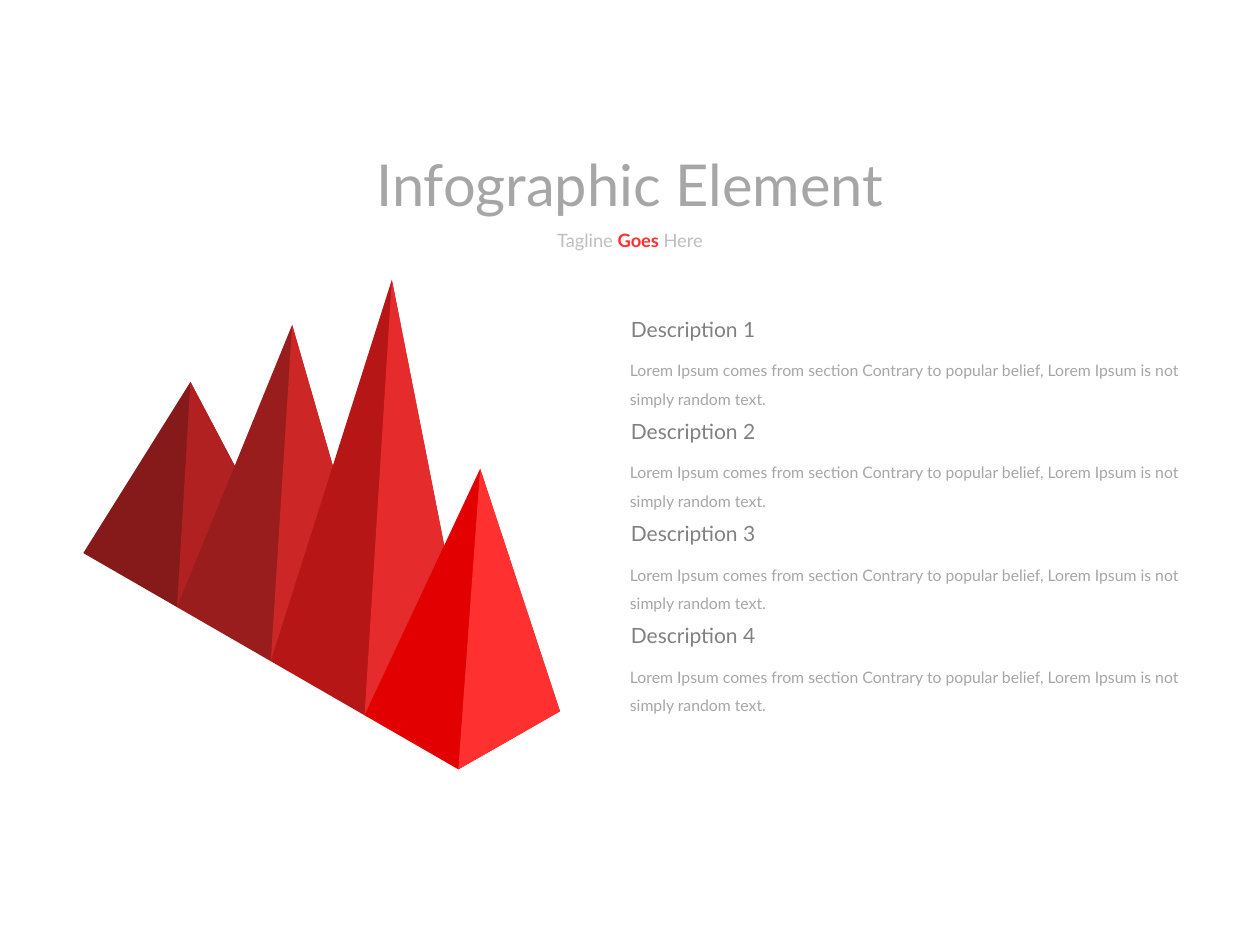
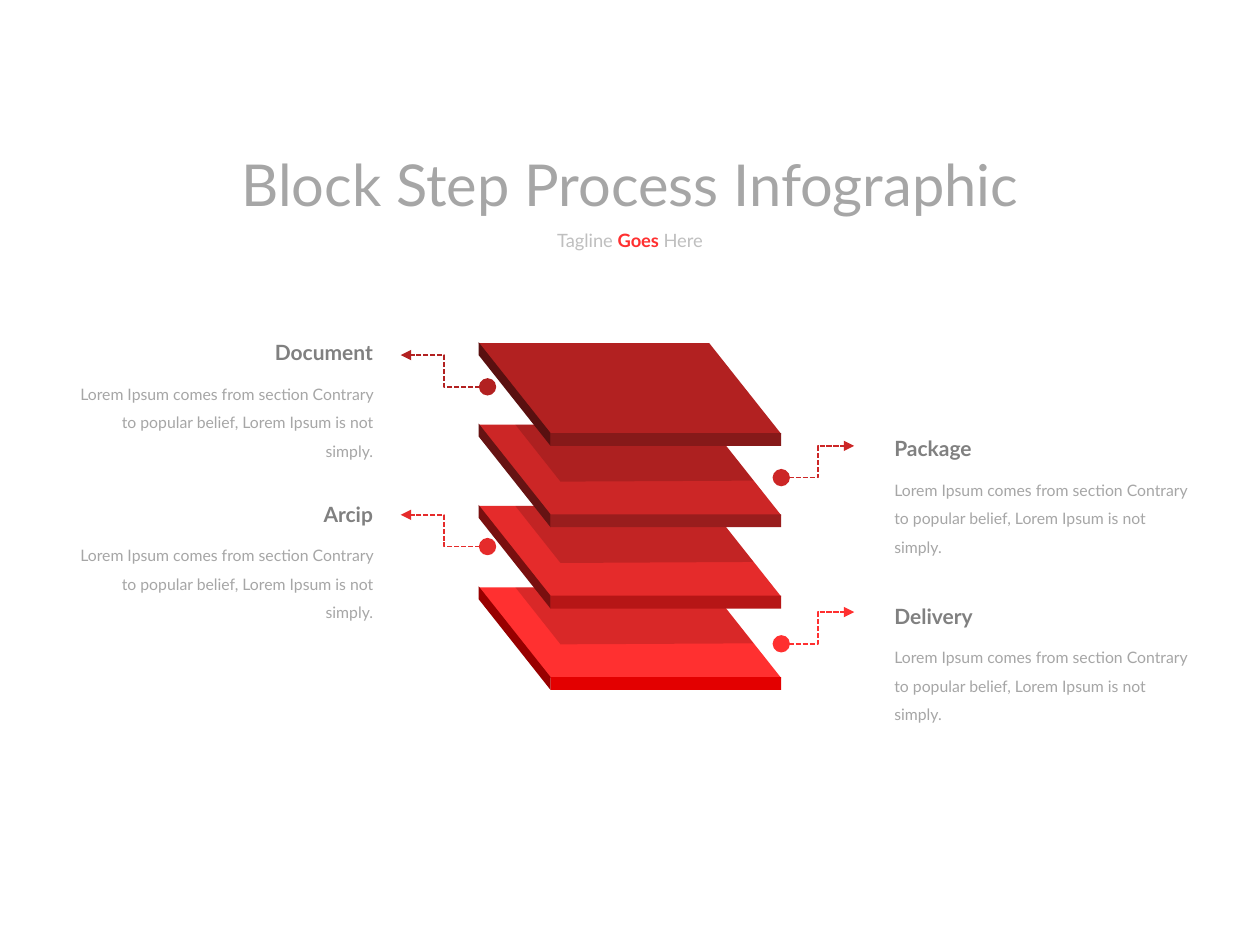
"""Build two infographic slides: a row of pyramids and a stack of blocks."""

from lxml.etree import SubElement
from pptx import Presentation
from pptx.dml.color import RGBColor
from pptx.enum.dml import MSO_LINE
from pptx.enum.shapes import MSO_CONNECTOR, MSO_SHAPE
from pptx.enum.text import MSO_ANCHOR, MSO_AUTO_SIZE, PP_ALIGN
from pptx.oxml.ns import qn
from pptx.util import Cm, Pt

FONT = "Lato"
TITLE_GREY = RGBColor(0xA6, 0xA6, 0xA6)
HEADING_GREY = RGBColor(0x80, 0x80, 0x80)
TAGLINE_GREY = RGBColor(0xBF, 0xBF, 0xBF)
BRIGHT_RED = RGBColor(0xFF, 0x30, 0x30)
LIGHT_RED = RGBColor(0xE5, 0x2B, 0x2B)
MEDIUM_RED = RGBColor(0xCC, 0x26, 0x26)
DEEP_RED = RGBColor(0xB2, 0x21, 0x21)
BRIGHT_SHADE = RGBColor(0xE3, 0x00, 0x00)
LIGHT_SHADE = RGBColor(0xB6, 0x16, 0x16)
MEDIUM_SHADE = RGBColor(0x99, 0x1D, 0x1D)
DEEP_SHADE = RGBColor(0x86, 0x19, 0x19)
BLACK = RGBColor(0, 0, 0)

PAGE_WIDTH, PAGE_HEIGHT = 25.4, 19.05
TAGLINE = [("Tagline ", TAGLINE_GREY, False), ("Goes ", BRIGHT_RED, True),
           ("Here", TAGLINE_GREY, False)]
HEADING_HEIGHT, BODY_DROP = 0.76, 0.71

PYRAMID_TITLE, PYRAMID_TITLE_WIDTH = "Infographic Element", 11
PYRAMIDS = [
    ((3.84, 7.7), DEEP_SHADE, DEEP_RED),
    ((5.89, 6.55), MEDIUM_SHADE, MEDIUM_RED),
    ((7.9, 5.64), LIGHT_SHADE, LIGHT_RED),
    ((9.68, 9.45), BRIGHT_SHADE, BRIGHT_RED),
]
PYRAMID_START, PYRAMID_STEP = (1.68, 11.15), (1.89, 1.09)
DESCRIPTIONS = [f"Description {number}" for number in range(1, 5)]
DESCRIPTION_TEXT = ("Lorem Ipsum comes from section Contrary to popular belief, "
                    "Lorem Ipsum is not simply random text.")
DESCRIPTION_TOP, DESCRIPTION_STEP = 6.25, 2.06

BLOCK_TITLE, BLOCK_TITLE_WIDTH = "Block Step Process Infographic", 16.89
BLOCKS = [
    (BRIGHT_RED, RGBColor(0x98, 0x00, 0x00), BRIGHT_SHADE),
    (LIGHT_RED, RGBColor(0x79, 0x0F, 0x0F), LIGHT_SHADE),
    (MEDIUM_RED, RGBColor(0x66, 0x13, 0x13), MEDIUM_SHADE),
    (DEEP_RED, RGBColor(0x59, 0x10, 0x10), DEEP_SHADE),
]
BLOCK_LEFT, BLOCK_BOTTOM_TOP, BLOCK_STEP = 9.65, 11.84, 1.64
BLOCK_FACE = [(0, 0), (4.65, 0), (6.1, 1.83), (1.45, 1.83)]
BLOCK_SIDE = [(0, -0.02), (0, 0.24), (1.45, 2.07), (1.45, 1.81)]
BLOCK_SHADOW = [(0.74, 0), (4.65, 0), (5.54, 1.13), (1.65, 1.15)]
STEP_TEXT = ("Lorem Ipsum comes from section Contrary to popular belief, "
             "Lorem Ipsum is not simply.")
STEPS = [
    ("Document", 2.51, 6.73, 7.8, "left", DEEP_RED),
    ("Arcip", 1.52, 9.98, 11.02, "left", LIGHT_RED),
    ("Package", 2.11, 8.66, 9.63, "right", MEDIUM_RED),
    ("Delivery", 2.11, 12.04, 12.98, "right", BRIGHT_RED),
]
STEP_WIDTH, ARROW_RISE = 6.53, 0.64
SIDES = {
    "left": {"text": 1.24, "arrow": (9.83, 8.08), "align": PP_ALIGN.RIGHT},
    "right": {"text": 17.78, "arrow": (15.75, 17.22), "align": PP_ALIGN.LEFT},
}


def set_font(font, size, color, bold=False):
    """Apply the deck's typeface with a size, colour and weight."""
    font.name, font.size, font.bold = FONT, Pt(size), bold
    font.color.rgb = color


def add_box(page, left, top, width, height, wrap=False):
    """Add an empty text box and return its frame."""
    frame = page.shapes.add_textbox(Cm(left), Cm(top), Cm(width), Cm(height)).text_frame
    frame.word_wrap = wrap
    frame.auto_size = MSO_AUTO_SIZE.SHAPE_TO_FIT_TEXT
    return frame


def add_heading(page, text, left, top, width, align=PP_ALIGN.LEFT, bold=False):
    """Add a one-line heading."""
    para = add_box(page, left, top, width, HEADING_HEIGHT).paragraphs[0]
    para.text, para.alignment = text, align
    set_font(para.font, 12, HEADING_GREY, bold)


def add_body(page, text, left, top, width, height, align=PP_ALIGN.LEFT):
    """Add a wrapped description."""
    para = add_box(page, left, top, width, height, wrap=True).paragraphs[0]
    para.text, para.alignment, para.line_spacing = text, align, 1.5
    set_font(para.font, 9, TITLE_GREY)


def add_page(deck, title, width):
    """Add a slide with its title and tagline."""
    page = deck.slides.add_slide(deck.slide_layouts[5])
    heading = page.shapes.title
    heading.left, heading.top = Cm((PAGE_WIDTH - width) / 2), Cm(2.87)
    heading.width, heading.height = Cm(width), Cm(1.68)
    frame = heading.text_frame
    frame.word_wrap, frame.auto_size = False, MSO_AUTO_SIZE.SHAPE_TO_FIT_TEXT
    frame.vertical_anchor = MSO_ANCHOR.TOP
    para = frame.paragraphs[0]
    para.text, para.alignment = title, PP_ALIGN.CENTER
    set_font(para.font, 33, TITLE_GREY)

    para = add_box(page, 10.92, 4.5, 3.56, 0.71).paragraphs[0]
    para.alignment = PP_ALIGN.CENTER
    for text, color, bold in TAGLINE:
        span = para.add_run()
        span.text = text
        set_font(span.font, 10.5, color, bold)
    return page


def paint(shape, color):
    """Give a shape a plain fill without line or shadow."""
    shape.shadow.inherit = False
    shape.fill.solid()
    shape.fill.fore_color.rgb = color
    shape.line.fill.background()


def add_polygon(shapes, points, color, origin=(0, 0)):
    """Draw a filled polygon with points relative to the origin."""
    corners = [(Cm(origin[0] + x), Cm(origin[1] + y)) for x, y in points]
    builder = shapes.build_freeform(*corners[0], scale=1.0)
    builder.add_line_segments(corners[1:], close=True)
    polygon = builder.convert_to_shape()
    paint(polygon, color)
    return polygon


def add_block(page, top, face, side, front, shaded):
    """Draw one slab of the stack as a group."""
    shapes = page.shapes.add_group_shape().shapes
    origin = (BLOCK_LEFT, top)
    add_polygon(shapes, BLOCK_FACE, face, origin)
    add_polygon(shapes, BLOCK_SIDE, side, origin)
    edge = shapes.add_shape(MSO_SHAPE.RECTANGLE, Cm(BLOCK_LEFT + 1.45), Cm(top + 1.81),
                            Cm(4.65), Cm(0.26))
    paint(edge, front)
    if shaded:
        shadow = add_polygon(shapes, BLOCK_SHADOW, BLACK, origin)
        color = next(shadow.fill._xPr.iter(qn("a:srgbClr")))
        SubElement(color, qn("a:alpha"), val="15000")


def add_arrow(page, start, end, color):
    """Draw a dashed elbow arrow that starts with a dot."""
    arrow = page.shapes.add_connector(MSO_CONNECTOR.ELBOW, *map(Cm, start), *map(Cm, end))
    arrow.line.color.rgb, arrow.line.width = color, Pt(1)
    arrow.line.dash_style = MSO_LINE.SQUARE_DOT
    line = arrow.line._get_or_add_ln()
    SubElement(line, qn("a:headEnd"), type="oval", w="lg", len="lg")
    SubElement(line, qn("a:tailEnd"), type="triangle")
    SubElement(arrow._element.spPr, qn("a:effectLst"))


def build_pyramids(deck):
    """Build the slide with four pyramids and their descriptions."""
    page = add_page(deck, PYRAMID_TITLE, PYRAMID_TITLE_WIDTH)
    for index, (apex, shade, light) in enumerate(PYRAMIDS):
        x, y = (start + index * step for start, step in zip(PYRAMID_START, PYRAMID_STEP))
        front, right = (x + 1.89, y + 1.09), (x + 3.94, y - 0.08)
        add_polygon(page.shapes, [(x, y), apex, right, front], shade)
        add_polygon(page.shapes, [apex, front, right], light)
    for index, heading in enumerate(DESCRIPTIONS):
        top = DESCRIPTION_TOP + index * DESCRIPTION_STEP
        add_body(page, DESCRIPTION_TEXT, 12.45, top + BODY_DROP, 11.79, 1.42)
        add_heading(page, heading, 12.47, top, 3.05)


def build_blocks(deck):
    """Build the slide with the stack of blocks and its four steps."""
    page = add_page(deck, BLOCK_TITLE, BLOCK_TITLE_WIDTH)
    for index, colors in enumerate(BLOCKS):
        add_block(page, BLOCK_BOTTOM_TOP - index * BLOCK_STEP, *colors,
                  shaded=index < len(BLOCKS) - 1)
    for heading, width, top, dot, side, color in STEPS:
        left, (start, end), align = SIDES[side].values()
        add_arrow(page, (start, dot), (end, dot - ARROW_RISE), color)
        add_body(page, STEP_TEXT, left, top + BODY_DROP, STEP_WIDTH, 1.98, align)
        heading_left = left + STEP_WIDTH - width if side == "left" else left
        add_heading(page, heading, heading_left, top, width, align, bold=True)


def main():
    """Create the deck and save it."""
    deck = Presentation()
    deck.slide_width, deck.slide_height = Cm(PAGE_WIDTH), Cm(PAGE_HEIGHT)
    build_pyramids(deck)
    build_blocks(deck)
    deck.save("out.pptx")


if __name__ == "__main__":
    main()
